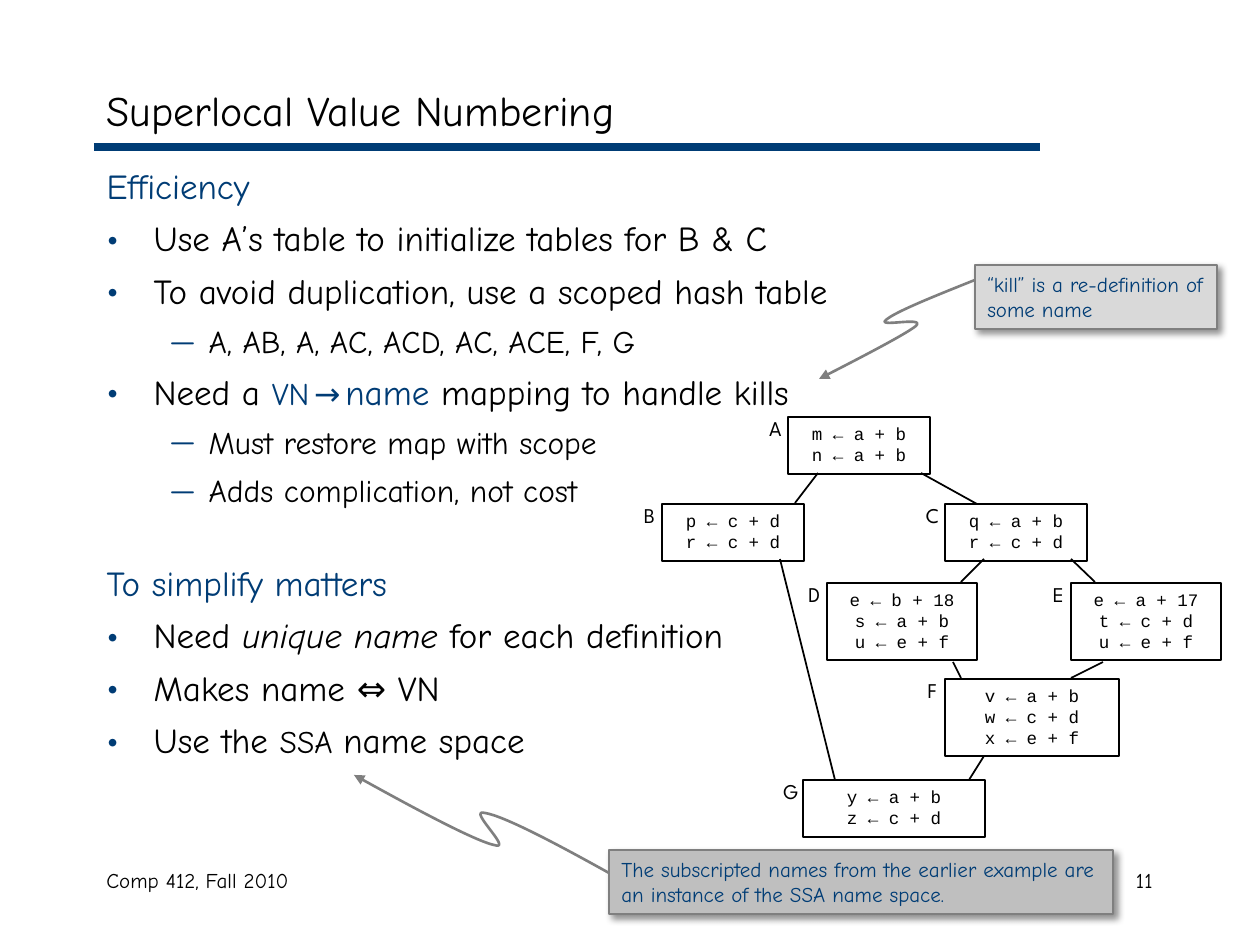
import pptx
import pptx.dml.color
import pptx.enum.shapes
import pptx.enum.text
import pptx.oxml
import pptx.oxml.ns
import pptx.util
from lxml import etree

RGB = pptx.dml.color.RGBColor
NAVY = RGB(0x00, 0x3C, 0x75)
BLACK = RGB(0, 0, 0)
GRAY = RGB(0x7F, 0x7F, 0x7F)
LIGHT = RGB(0xD9, 0xD9, 0xD9)
MEDIUM = RGB(0xBF, 0xBF, 0xBF)
HAND, CODE, LABEL = "Comic Neue", "Courier New", "League Spartan"
ALIGN = pptx.enum.text.PP_ALIGN
ANCHOR = pptx.enum.text.MSO_ANCHOR
PX = 914400 / 126

# Content: body lines as (kind, runs), each run as (text, size, colour, italic)
TITLE = "Superlocal Value Numbering"


def plain(text, size=20, color=BLACK, italic=False):
    return text, size, color, italic


BODY = [
    ("heading", [plain("Efficiency", color=NAVY)]),
    ("bullet", [plain("Use A’s table to initialize tables for B & C")]),
    ("bullet", [plain("To avoid duplication, use a scoped hash table")]),
    ("dash", [plain("A, AB, A, AC, ACD, AC, ACE, F, G", 18)]),
    ("bullet", [plain("Need a "), plain("VN", 18, NAVY), plain(" ", 8, NAVY),
                plain("→", 18, NAVY), plain(" ", 8, NAVY),
                plain("name ", 20, NAVY), plain("mapping to handle kills")]),
    ("dash", [plain("Must restore map with scope", 18)]),
    ("dash", [plain("Adds complication, not cost", 18)]),
    ("heading", [plain("To simplify matters", color=NAVY)]),
    ("bullet", [plain("Need"), plain(" unique name ", italic=True),
                plain("for each definition")]),
    ("bullet", [plain("Makes name ⇔ VN")]),
    ("bullet", [plain("Use the "), plain("SSA ", 18), plain("name space")]),
]
# kind: (level, left margin, indent, space before in pt, bullet, bullet size %)
LINE_STYLES = {
    "heading": (0, 47, -47, 30, None, None),
    "bullet": (0, 47, -47, 6, "•", 120),
    "dash": (1, 102, -39, 6, "—", 100),
}
# Flow graph blocks: (name, left, top, width, code)
BLOCKS = [
    ("A", 788, 417, 142, "m ← a + b\nn ← a + b"),
    ("B", 662, 504, 142, "p ← c + d\nr ← c + d"),
    ("C", 945, 504, 142, "q ← a + b\nr ← c + d"),
    ("D", 827, 583, 150, "e ← b + 18\ns ← a + b\nu ← e + f"),
    ("E", 1071, 583, 150, "e ← a + 17\nt ← c + d\nu ← e + f"),
    ("F", 945, 679, 174, "v ← a + b\nw ← c + d\nx ← e + f"),
    ("G", 803, 780, 182, "y ← a + b\nz ← c + d"),
]
EDGES = [  # A-B, A-C, B-G, C-D, C-E, D-F, E-F, F-G
    (818, 473, 795, 503), (921, 473, 977, 504), (780, 559, 835, 780),
    (984, 559, 961, 582), (1071, 559, 1095, 582), (953, 662, 961, 678),
    (1103, 662, 1071, 678), (984, 756, 969, 780),
]
# Callouts: (text, box, fill, start of pointer and its Bézier points)
CALLOUTS = [
    ("The subscripted names from the earlier example are an instance of "
     "the SSA name space.", (609, 850, 504, 64), MEDIUM,
     [(609, 873), (557, 844), (504, 816), (485, 813), (466, 808), (515, 852),
      (494, 845), (471, 840), (354, 775), (354, 775)]),
    ("“kill” is a re-definition of some name", (975, 265, 242, 64), LIGHT,
     [(975, 280), (935, 296), (895, 312), (886, 320), (876, 328), (926, 316),
      (916, 326), (905, 335), (819, 379), (819, 379)]),
]


def emu(*lengths):
    return [pptx.util.Emu(round(n * PX)) for n in lengths]


def style_run(run, font, size, color, italic=False):
    run.font.name, run.font.size = font, pptx.util.Pt(size)
    run.font.color.rgb = color
    run.font.italic = italic


def fill_text(shape, text, font, size, color, align=ALIGN.LEFT):
    frame = shape.text_frame
    frame.text = text
    frame.word_wrap = True
    frame.vertical_anchor = ANCHOR.TOP
    for paragraph in frame.paragraphs:
        paragraph.alignment = align
        for run in paragraph.runs:
            style_run(run, font, size, color)


def add_label(box, text, font, align=ALIGN.LEFT):
    fill_text(slide.shapes.add_textbox(*emu(*box)), text, font, 12, BLACK, align)


def add_box(box, line_color, width):
    shape = slide.shapes.add_shape(
        pptx.enum.shapes.MSO_SHAPE.RECTANGLE, *emu(*box))
    shape.shadow.inherit = False
    shape.fill.background()
    shape.line.color.rgb = line_color
    shape.line.width = pptx.util.Pt(width)
    return shape


def add_line(ends, color, width):
    line = slide.shapes.add_connector(
        pptx.enum.shapes.MSO_CONNECTOR.STRAIGHT, *emu(*ends))
    line.line.color.rgb = color
    line.line.width = pptx.util.Pt(width)
    sub(line._element.spPr, "a:effectLst")


def sub(parent, tag, **attributes):
    return etree.SubElement(parent, pptx.oxml.ns.qn(tag), attributes)


def add_pointer(points):
    builder = slide.shapes.build_freeform(*points[0], scale=PX)
    builder.add_line_segments(points[1:], close=False)
    pointer = builder.convert_to_shape()
    pointer.shadow.inherit = False
    pointer.fill.background()
    pointer.line.color.rgb = GRAY
    pointer.line.width = pptx.util.Pt(1.5)
    sub(pointer.line._get_or_add_ln(), "a:tailEnd", type="triangle")
    # Every three segments become one cubic curve
    segments = list(pointer._element.iter(pptx.oxml.ns.qn("a:lnTo")))
    outline = segments[0].getparent()
    for i in range(0, len(segments), 3):
        curve = sub(outline, "a:cubicBezTo")
        for segment in segments[i:i + 3]:
            curve.append(segment[0])
            outline.remove(segment)


presentation = pptx.Presentation()
presentation.slide_width, presentation.slide_height = emu(1260, 945)
slide = presentation.slides.add_slide(presentation.slide_layouts[1])

# Title, rule and footer
title, body = slide.placeholders
title.left, title.top, title.width, title.height = emu(94, 73, 1071, 73)
fill_text(title, TITLE, HAND, 24, BLACK)
title.text_frame.vertical_anchor = ANCHOR.MIDDLE
add_line((94, 147, 1040, 147), NAVY, 4.5)
add_label((94, 861, 399, 63), "Comp 412, Fall 2010", HAND)
add_label((903, 861, 262, 63), "11", HAND, ALIGN.RIGHT)

# Body list
body.left, body.top, body.width, body.height = emu(94, 158, 1071, 683)
body.text_frame.auto_size = pptx.enum.text.MSO_AUTO_SIZE.NONE
for i, (kind, runs) in enumerate(BODY):
    level, margin, indent, before, bullet, percent = LINE_STYLES[kind]
    paragraph = body.text_frame.add_paragraph() if i else body.text_frame.paragraphs[0]
    paragraph.level = level
    paragraph.space_before = pptx.util.Pt(before if i else 0)
    properties = paragraph._p.get_or_add_pPr()
    properties.set("marL", str(emu(margin)[0]))
    properties.set("indent", str(emu(indent)[0]))
    if bullet:
        sub(sub(properties, "a:buClr"), "a:srgbClr", val=str(NAVY))
        sub(properties, "a:buSzPct", val=str(percent * 1000))
        sub(properties, "a:buFont", typeface=HAND)
        sub(properties, "a:buChar", char=bullet)
    else:
        sub(properties, "a:buNone")
    for text, size, color, italic in runs:
        run = paragraph.add_run()
        run.text = text
        style_run(run, HAND, size, color, italic)

# Flow graph
for name, left, top, width, code in BLOCKS:
    height = 17 + 20 * len(code.split("\n"))
    block = add_box((left, top, width, height), BLACK, 1)
    fill_text(block, code, CODE, 10, BLACK, ALIGN.CENTER)
    add_label((left - 32, top - 8, 39, 38), name, LABEL, ALIGN.CENTER)
for ends in EDGES:
    add_line(ends, BLACK, 1)

# Callouts with shadow and curved pointer
for text, box, fill, points in CALLOUTS:
    callout = add_box(box, GRAY, 1.5)
    callout.fill.solid()
    callout.fill.fore_color.rgb = fill
    fill_text(callout, text, HAND, 12, NAVY)
    effects = callout._element.spPr.find(pptx.oxml.ns.qn("a:effectLst"))
    shadow = sub(effects, "a:outerShdw", blurRad="50800", dist="38100",
                 dir="2700000", algn="tl", rotWithShape="0")
    sub(sub(shadow, "a:srgbClr", val=str(BLACK)), "a:alpha", val="43000")
    add_pointer(points)

presentation.save("out.pptx")
